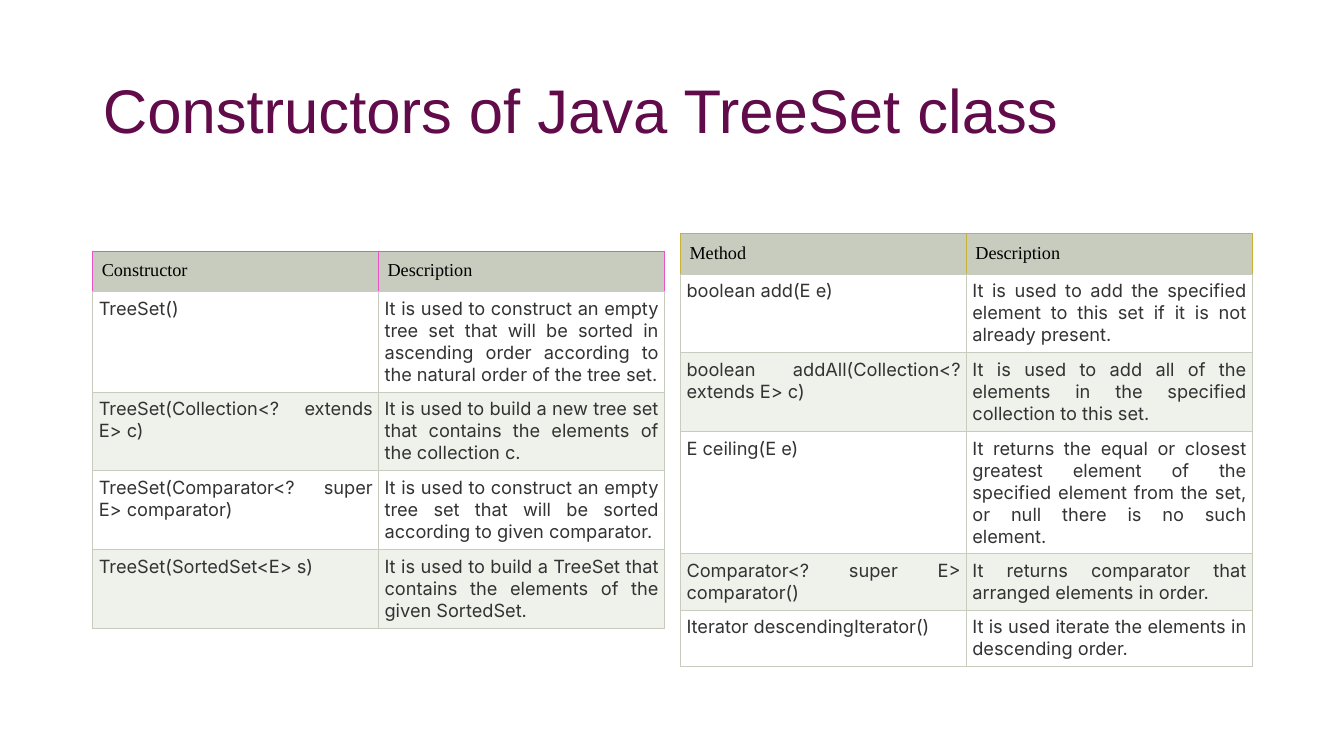
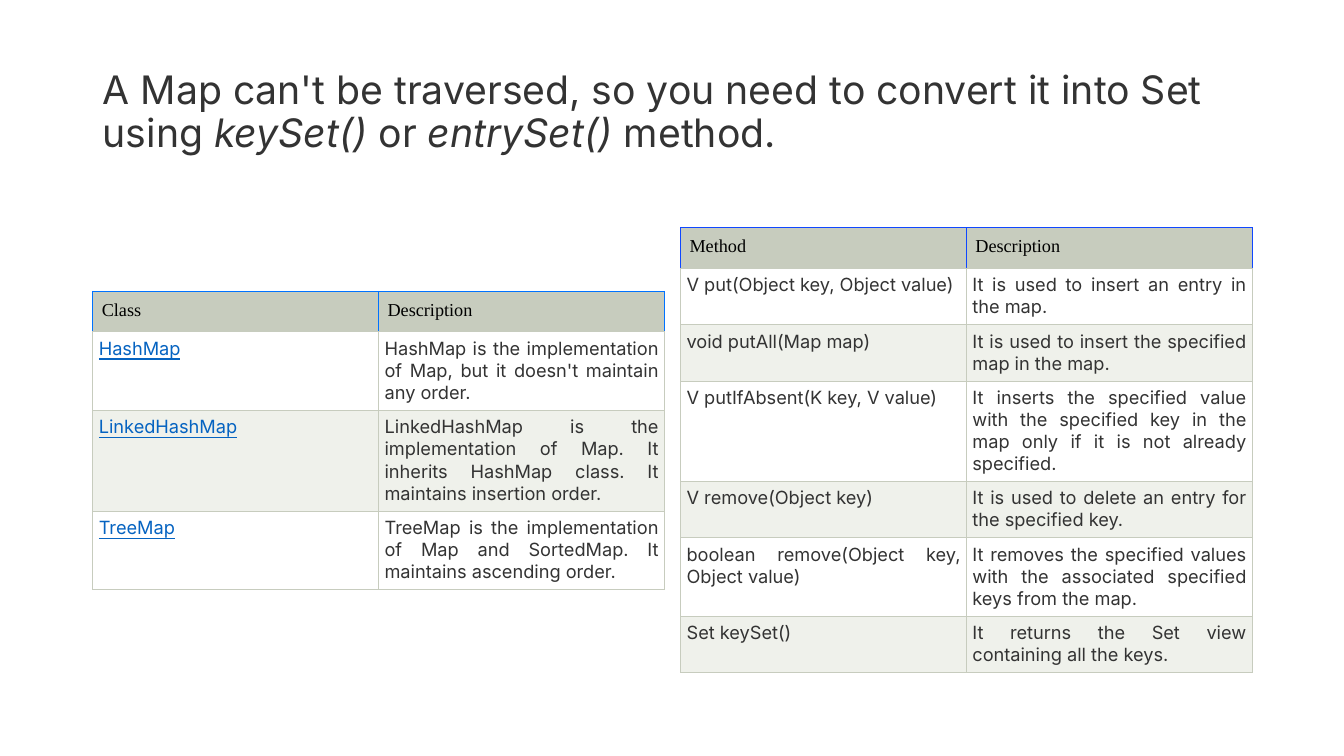
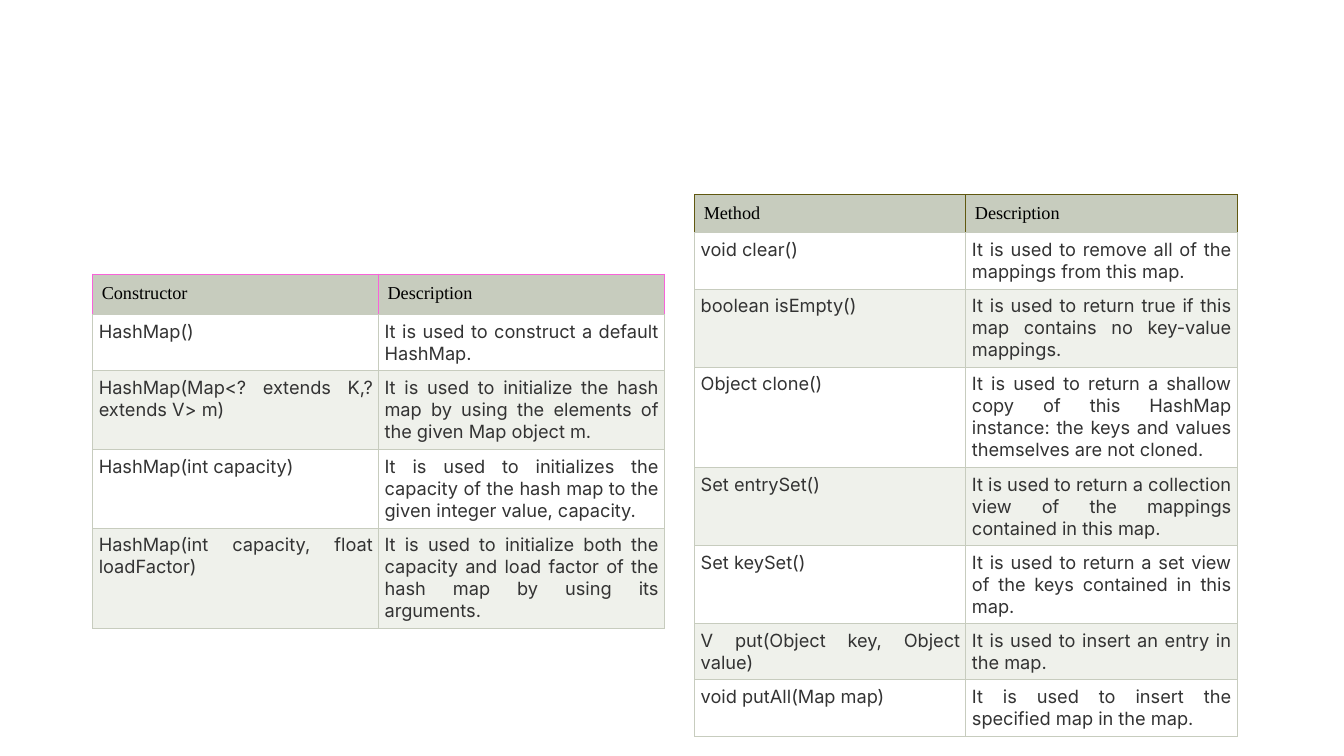
from lxml.etree import SubElement
from pptx import Presentation
from pptx.dml.color import RGBColor
from pptx.enum.text import MSO_ANCHOR, MSO_AUTO_SIZE, PP_ALIGN
from pptx.oxml.ns import qn
from pptx.util import Inches, Pt

# Shared look
INK, BLACK, LINK, PLUM = "333333", "000000", "0563C1", "610B4B"
HEAD, WHITE, BAND = "C7CCBE", "FFFFFF", "EFF1EB"
SANS, SERIF = "Inter", "Times New Roman"
TITLE = (0.92, 0.4, 11.5, 1.45)


def hue(code):
    return RGBColor.from_string(code)


def write(para, text, size=13, font=SANS, color=INK, italic=False,
          under=False, align=PP_ALIGN.LEFT):
    """Add one formatted run to a paragraph."""
    para.alignment = align
    run = para.add_run()
    run.text = text
    face = run.font
    face.size, face.name = Pt(size), font
    face.color.rgb = hue(color)
    face.bold, face.italic, face.underline = False, italic, under


def title(slide, runs, **style):
    """Place the title; runs are (text, italic) pairs."""
    shape = slide.shapes.title
    shape.left, shape.top, shape.width, shape.height = map(Inches, TITLE)
    frame = shape.text_frame
    frame.word_wrap = True
    frame.auto_size = MSO_AUTO_SIZE.NONE
    frame.vertical_anchor = MSO_ANCHOR.MIDDLE
    para = frame.paragraphs[0]
    para.line_spacing = 0.9
    for text, italic in runs:
        write(para, text, italic=italic, **style)


def edge(cell, color):
    """Draw the cell borders; the bottom one is always the grid colour."""
    props = cell._tc.get_or_add_tcPr()
    for side in "LRTB":
        line = SubElement(props, qn(f"a:ln{side}"), w=str(Pt(0.75)))
        fill = SubElement(line, qn("a:solidFill"))
        SubElement(fill, qn("a:srgbClr"), val=HEAD if side == "B" else color)


def paint(cell, text, fill, line, pad, **style):
    edge(cell, line)
    cell.fill.solid()
    cell.fill.fore_color.rgb = hue(fill)
    cell.margin_left = cell.margin_right = Inches(pad)
    cell.margin_top = cell.margin_bottom = Inches(pad)
    write(cell.text_frame.paragraphs[0], text, **style)


def grid(slide, box, name, accent, rows, head=0.4, links=False):
    """Two-column table; each row is (height, name, description)."""
    left, top, width = box
    tall = head + sum(row[0] for row in rows)
    table = slide.shapes.add_table(len(rows) + 1, 2, Inches(left), Inches(top),
                                   Inches(width), Inches(tall)).table
    table.first_row = table.horz_banding = False
    for col in table.columns:
        col.width = Inches(width / 2)

    # Header row
    table.rows[0].height = Inches(head)
    for c, text in enumerate((name, "Description")):
        paint(table.cell(0, c), text, HEAD, accent, 0.09,
              font=SERIF, color=BLACK)

    # Banded rows
    for r, (height, *texts) in enumerate(rows, 1):
        table.rows[r].height = Inches(height)
        for c, text in enumerate(texts):
            mark = links and c == 0
            paint(table.cell(r, c), text, WHITE if r % 2 else BAND, HEAD, 0.06,
                  color=LINK if mark else INK, under=mark,
                  align=PP_ALIGN.JUSTIFY)


def treeset(slide):
    title(slide, [("Constructors of Java TreeSet class", False)],
          size=44, font="Arial", color=PLUM)
    grid(slide, (0.92, 2.49, 5.67), "Constructor", "E854C7", [
        (1, "TreeSet()",
         "It is used to construct an empty tree set that will be sorted in "
         "ascending order according to the natural order of the tree set."),
        (0.78, "TreeSet(Collection<? extends E> c)",
         "It is used to build a new tree set that contains the elements of "
         "the collection c."),
        (0.78, "TreeSet(Comparator<? super E> comparator)",
         "It is used to construct an empty tree set that will be sorted "
         "according to given comparator."),
        (0.78, "TreeSet(SortedSet<E> s)",
         "It is used to build a TreeSet that contains the elements of the "
         "given SortedSet."),
    ])
    grid(slide, (6.75, 2.32, 5.67), "Method", "C8B234", [
        (0.78, "boolean add(E e)",
         "It is used to add the specified element to this set if it is not "
         "already present."),
        (0.78, "boolean addAll(Collection<? extends E> c)",
         "It is used to add all of the elements in the specified collection "
         "to this set."),
        (1, "E ceiling(E e)",
         "It returns the equal or closest greatest element of the specified "
         "element from the set, or null there is no such element."),
        (0.56, "Comparator<? super E> comparator()",
         "It returns comparator that arranged elements in order."),
        (0.56, "Iterator descendingIterator()",
         "It is used iterate the elements in descending order."),
    ])


def maps(slide):
    title(slide, [
        ("A Map can't be traversed, so you need to convert it into Set using ",
         False),
        ("keySet()", True), (" or ", False),
        ("entrySet()", True), (" method.", False),
    ], size=28)
    grid(slide, (0.92, 2.89, 5.67), "Class", "0072FF", [
        (0.78, "HashMap",
         "HashMap is the implementation of Map, but it doesn't maintain any "
         "order."),
        (1, "LinkedHashMap",
         "LinkedHashMap is the implementation of Map. It inherits HashMap "
         "class. It maintains insertion order."),
        (0.78, "TreeMap",
         "TreeMap is the implementation of Map and SortedMap. It maintains "
         "ascending order."),
    ], links=True)
    grid(slide, (6.75, 2.26, 5.67), "Method", "1047FF", [
        (0.56, "V put(Object key, Object value)",
         "It is used to insert an entry in the map."),
        (0.56, "void putAll(Map map)",
         "It is used to insert the specified map in the map."),
        (0.78, "V putIfAbsent(K key, V value)",
         "It inserts the specified value with the specified key in the map "
         "only if it is not already specified."),
        (0.56, "V remove(Object key)",
         "It is used to delete an entry for the specified key."),
        (0.78, "boolean remove(Object key, Object value)",
         "It removes the specified values with the associated specified keys "
         "from the map."),
        (0.56, "Set keySet()",
         "It returns the Set view containing all the keys."),
    ])


def hashmap(slide):
    grid(slide, (0.92, 2.72, 5.67), "Constructor", "F863D9", [
        (0.56, "HashMap()", "It is used to construct a default HashMap."),
        (0.78, "HashMap(Map<? extends K,? extends V> m)",
         "It is used to initialize the hash map by using the elements of the "
         "given Map object m."),
        (0.78, "HashMap(int capacity)",
         "It is used to initializes the capacity of the hash map to the given "
         "integer value, capacity."),
        (0.78, "HashMap(int capacity, float loadFactor)",
         "It is used to initialize both the capacity and load factor of the "
         "hash map by using its arguments."),
    ])
    grid(slide, (6.89, 1.93, 5.38), "Method", "605810", [
        (0.54, "void clear()",
         "It is used to remove all of the mappings from this map."),
        (0.54, "boolean isEmpty()",
         "It is used to return true if this map contains no key-value "
         "mappings."),
        (0.95, "Object clone()",
         "It is used to return a shallow copy of this HashMap instance: the "
         "keys and values themselves are not cloned."),
        (0.74, "Set entrySet()",
         "It is used to return a collection view of the mappings contained in "
         "this map."),
        (0.54, "Set keySet()",
         "It is used to return a set view of the keys contained in this map."),
        (0.54, "V put(Object key, Object value)",
         "It is used to insert an entry in the map."),
        (0.54, "void putAll(Map map)",
         "It is used to insert the specified map in the map."),
    ], head=0.38)


def main():
    deck = Presentation()
    deck.slide_width, deck.slide_height = Inches(13.33), Inches(7.5)
    # Layout 5 has a title only, layout 6 is blank
    for build, layout in ((treeset, 5), (maps, 5), (hashmap, 6)):
        build(deck.slides.add_slide(deck.slide_layouts[layout]))
    deck.save("out.pptx")


if __name__ == "__main__":
    main()
